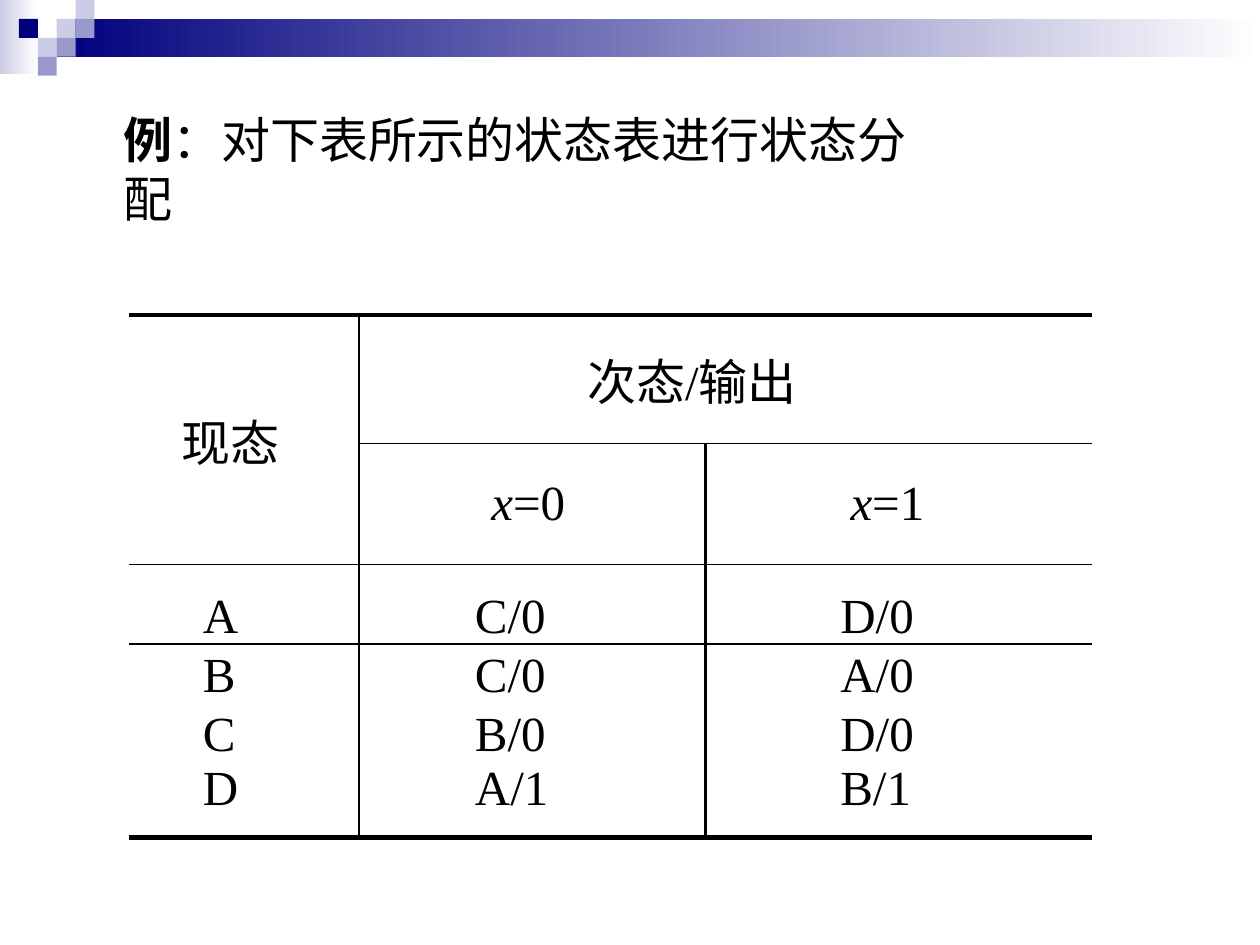
import dataclasses

import pptx
import pptx.dml.color
import pptx.enum.shapes
import pptx.enum.text
import pptx.oxml
import pptx.oxml.ns
import pptx.util

Inches = pptx.util.Inches
Anchor = pptx.enum.text.MSO_ANCHOR


@dataclasses.dataclass(frozen=True)
class Theme:
    ink: str = "000000"
    paper: str = "FFFFFF"
    navy: str = "00007D"
    mid: str = "9999CC"
    pale: str = "CCCCE6"
    font: str = "Times New Roman"
    size: int = 28
    heavy: float = 3
    medium: float = 1.5
    thin: float = 1


THEME = Theme()
UNIT = 0.15
COLUMN_WIDTHS = [1.83, 2.75, 3.07]
ROW_HEIGHTS = [1.02, 0.96, 0.63, 0.47, 0.47, 0.6]
BODY_INDENTS = [0.59, 0.92, 1.07]
NO_STYLE = "{2D5ABB26-0587-4C30-8999-92F81FD0307C}"
STATES = [
    ["A", "C/0", "D/0"],
    ["B", "C/0", "A/0"],
    ["C", "B/0", "D/0"],
    ["D", "A/1", "B/1"],
]


def color(value):
    return pptx.dml.color.RGBColor.from_string(value)


def apply(target, values):
    for name, value in values.items():
        setattr(target, name, value)


def write(frame, spans):
    para = frame.paragraphs[0]
    para.alignment = pptx.enum.text.PP_ALIGN.LEFT
    for text, style in spans:
        span = para.add_run()
        span.text = text
        apply(span.font, {"name": THEME.font, "size": pptx.util.Pt(THEME.size),
                          "bold": False, "italic": False, **style})
        span.font.color.rgb = color(THEME.ink)


def add_block(page, column, row, columns, rows, *tones):
    edges = [Inches(UNIT * cells) for cells in (column, row, columns, rows)]
    block = page.shapes.add_shape(pptx.enum.shapes.MSO_SHAPE.RECTANGLE, *edges)
    block.shadow.inherit = False
    block.line.fill.background()
    if len(tones) == 1:
        block.fill.solid()
        block.fill.fore_color.rgb = color(tones[0])
        return
    block.fill.gradient()
    block.fill.gradient_angle = 0
    for stop, tone in zip(block.fill.gradient_stops, tones):
        stop.color.rgb = color(tone)


def add_banner(page):
    add_block(page, 0, 0, 2, 3.9, THEME.pale, THEME.paper)
    add_block(page, 3, 1, 63.67, 2, THEME.navy, THEME.paper)
    squares = {
        THEME.pale: [(3, 1), (4, 0), (2, 2)],
        THEME.mid: [(4, 1), (3, 2), (2, 3)],
        THEME.navy: [(1, 1)],
    }
    for tone, places in squares.items():
        for column, row in places:
            add_block(page, column, row, 1, 1, tone)


def add_title(page):
    title = page.shapes.title
    apply(title, {"left": Inches(0.88), "top": Inches(1.05),
                  "width": Inches(6.8), "height": Inches(0.57)})
    apply(title.text_frame, {"word_wrap": False, "vertical_anchor": Anchor.MIDDLE,
                             "auto_size": pptx.enum.text.MSO_AUTO_SIZE.NONE})
    write(title.text_frame, [("例", {"bold": True}), ("：对下表所示的状态表进行状态分配", {})])


def horizontal_rule(edge, column):
    if edge in (0, len(ROW_HEIGHTS)):
        return THEME.heavy
    return THEME.thin if edge == 2 or (edge == 1 and column > 0) else 0


def vertical_rule(row, edge):
    return THEME.medium if edge == 1 or (edge == 2 and row > 0) else 0


def set_borders(cell, row, column):
    widths = {
        "L": vertical_rule(row, column),
        "R": vertical_rule(row, column + 1),
        "T": horizontal_rule(row, column),
        "B": horizontal_rule(row + 1, column),
    }
    properties = cell._tc.get_or_add_tcPr()
    for side, width in widths.items():
        if width:
            properties.append(pptx.oxml.parse_xml(
                f'<a:ln{side} {pptx.oxml.ns.nsdecls("a")} w="{pptx.util.Pt(width)}">'
                f'<a:solidFill><a:srgbClr val="{THEME.ink}"/></a:solidFill></a:ln{side}>'))


def fill_cell(cell, spans, indent, anchor):
    apply(cell, {"margin_left": Inches(indent), "margin_right": 0,
                 "margin_top": 0, "margin_bottom": 0, "vertical_anchor": anchor})
    write(cell.text_frame, spans)


def add_state_table(page):
    frame = page.shapes.add_table(
        len(ROW_HEIGHTS), len(COLUMN_WIDTHS), Inches(1.02), Inches(2.5),
        Inches(sum(COLUMN_WIDTHS)), Inches(sum(ROW_HEIGHTS)))
    table = frame.table
    apply(table, {"first_row": False, "horz_banding": False})
    table._tbl.tblPr.find(pptx.oxml.ns.qn("a:tableStyleId")).text = NO_STYLE
    for column, width in zip(table.columns, COLUMN_WIDTHS):
        column.width = Inches(width)
    for row, height in zip(table.rows, ROW_HEIGHTS):
        row.height = Inches(height)
    for row in range(len(ROW_HEIGHTS)):
        for column in range(len(COLUMN_WIDTHS)):
            cell = table.cell(row, column)
            set_borders(cell, row, column)
            cell.fill.background()
    table.cell(0, 0).merge(table.cell(1, 0))
    table.cell(0, 1).merge(table.cell(0, 2))
    headers = [
        (0, 0, [("现态", {})], 0.42),
        (0, 1, [("次态/输出", {})], 1.81),
        (1, 1, [("x", {"italic": True}), ("=0", {})], 1.05),
        (1, 2, [("x", {"italic": True}), ("=1", {})], 1.15),
    ]
    for row, column, spans, indent in headers:
        fill_cell(table.cell(row, column), spans, indent, Anchor.MIDDLE)
    for row, values in enumerate(STATES, start=2):
        anchor = Anchor.TOP if row == len(ROW_HEIGHTS) - 1 else Anchor.BOTTOM
        for column, value in enumerate(values):
            fill_cell(table.cell(row, column), [(value, {})], BODY_INDENTS[column], anchor)


def main():
    deck = pptx.Presentation()
    apply(deck, {"slide_width": Inches(10), "slide_height": Inches(7.5)})
    page = deck.slides.add_slide(deck.slide_layouts[5])
    add_banner(page)
    add_title(page)
    add_state_table(page)
    deck.save("out.pptx")


if __name__ == "__main__":
    main()
